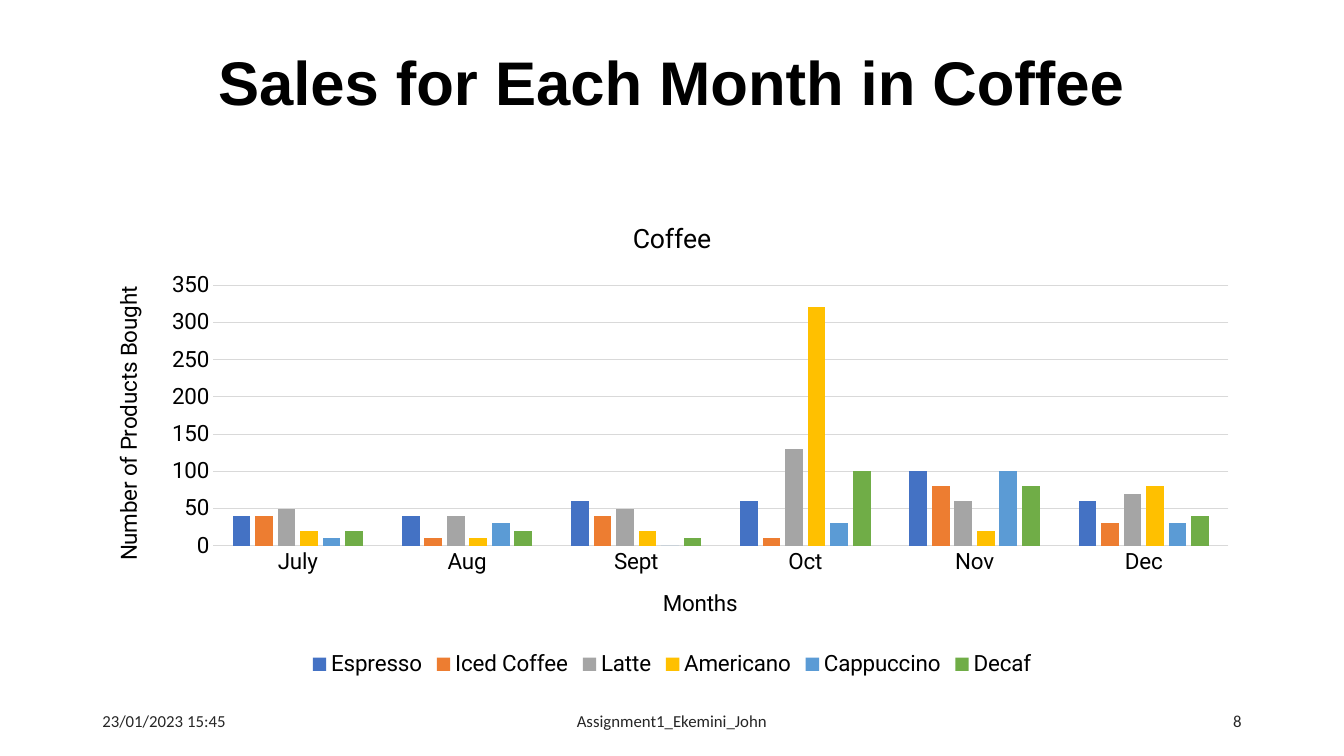
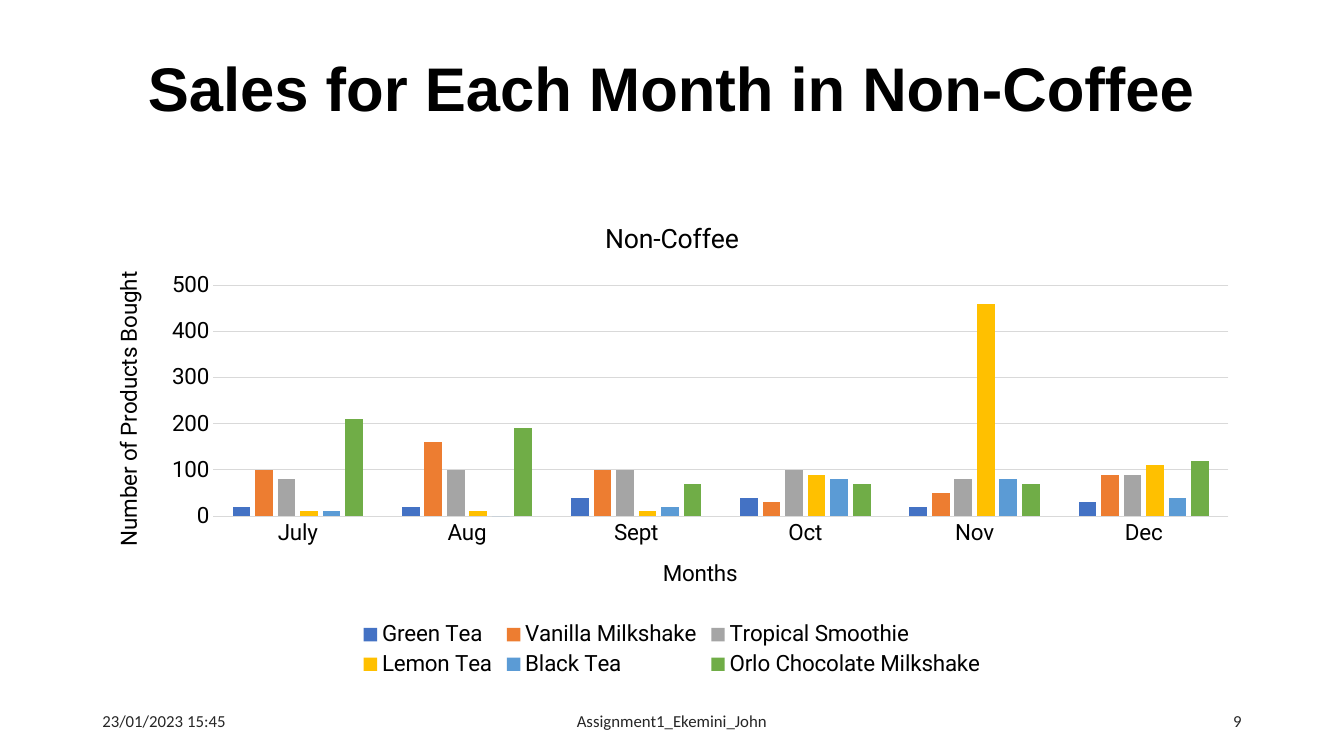
from pptx import Presentation
from pptx.chart.data import CategoryChartData
from pptx.dml.color import RGBColor
from pptx.enum.chart import XL_CHART_TYPE as ChartType, XL_LEGEND_POSITION as LegendPosition
from pptx.enum.chart import XL_TICK_MARK as TickMark
from pptx.enum.text import MSO_ANCHOR as Anchor, PP_ALIGN as Align
from pptx.util import Pt

PX = 9525  # EMU in one px, 96 px to the inch
COLORS = {"text": "000000", "footer": "262626", "grid": "D9D9D9"}
SERIES_COLORS = ["4472C4", "ED7D31", "A5A5A5", "FFC000", "5B9BD5", "70AD47"]
LEFT, WIDTH = 88, 1104
FOOTER_TOP, FOOTER_HEIGHT = 667, 38
MONTHS = ["July", "Aug", "Sept", "Oct", "Nov", "Dec"]

SLIDES = [
    {
        "title": "Sales for Each Month in Coffee",
        "title_height": 88,
        "number": "8",
        "chart": "Coffee",
        "axis": (350, 50),
        "series": {
            "Espresso": [40, 40, 60, 60, 100, 60],
            "Iced Coffee": [40, 10, 40, 10, 80, 30],
            "Latte": [50, 40, 50, 130, 60, 70],
            "Americano": [20, 10, 20, 320, 20, 80],
            "Cappuccino": [10, 30, 0, 30, 100, 30],
            "Decaf": [20, 20, 10, 100, 80, 40],
        },
    },
    {
        "title": "Sales for Each Month in Non-Coffee",
        "title_height": 98,
        "number": "9",
        "chart": "Non-Coffee",
        "axis": (500, 100),
        "series": {
            "Green Tea": [20, 20, 40, 40, 20, 30],
            "Vanilla Milkshake": [100, 160, 100, 30, 50, 90],
            "Tropical Smoothie": [80, 100, 100, 100, 80, 90],
            "Lemon Tea": [10, 10, 10, 90, 460, 110],
            "Black Tea": [10, 0, 20, 80, 80, 40],
            "Orlo Chocolate Milkshake": [210, 190, 70, 70, 70, 120],
        },
    },
]


def style_font(font, name, size, color, bold=False):
    font.name = name
    font.size = Pt(size)
    font.bold = bold
    font.color.rgb = RGBColor.from_string(COLORS[color])


def add_text(page, text, area, align, name, size, color, bold=False):
    """Add one line of text, centred vertically in area (left, top, width, height)."""
    box = page.shapes.add_textbox(*(length * PX for length in area))
    frame = box.text_frame
    frame.word_wrap = True
    frame.vertical_anchor = Anchor.MIDDLE
    para = frame.paragraphs[0]
    para.alignment = align
    span = para.add_run()
    span.text = text
    style_font(span.font, name, size, color, bold)
    return para


deck = Presentation()
deck.slide_width, deck.slide_height = 1280 * PX, 720 * PX

for content in SLIDES:
    page = deck.slides.add_slide(deck.slide_layouts[6])

    title = add_text(page, content["title"], (LEFT, 38, WIDTH, content["title_height"]),
                     Align.CENTER, "Arial", 44, "text", bold=True)
    title.line_spacing = 0.9

    for text, left, width, align in [
        ("23/01/2023 15:45", LEFT, 288, Align.LEFT),
        ("Assignment1_Ekemini_John", 424, 432, Align.CENTER),
        (content["number"], 904, 288, Align.RIGHT),
    ]:
        add_text(page, text, (left, FOOTER_TOP, width, FOOTER_HEIGHT),
                 align, "Calibri", 12, "footer")

    data = CategoryChartData()
    data.categories = MONTHS
    for name, values in content["series"].items():
        data.add_series(name, values)
    chart = page.shapes.add_chart(ChartType.COLUMN_CLUSTERED, LEFT * PX, 192 * PX,
                                  WIDTH * PX, 457 * PX, data).chart
    style_font(chart.font, "Roboto", 16, "text")

    plot = chart.plots[0]
    plot.gap_width = 219
    plot.overlap = -27
    plot.vary_by_categories = False
    for series, color in zip(plot.series, SERIES_COLORS):
        series.format.fill.solid()
        series.format.fill.fore_color.rgb = RGBColor.from_string(color)

    months, amounts = chart.category_axis, chart.value_axis
    amounts.minimum_scale = 0
    amounts.maximum_scale, amounts.major_unit = content["axis"]
    amounts.format.line.fill.background()
    for line in (months.format.line, amounts.major_gridlines.format.line):
        line.color.rgb = RGBColor.from_string(COLORS["grid"])
        line.width = Pt(0.75)
    for axis in (months, amounts):
        axis.major_tick_mark = axis.minor_tick_mark = TickMark.NONE
        style_font(axis.tick_labels.font, "Roboto", 16, "text")

    for owner, text, size in [
        (chart, content["chart"], 19),
        (months, "Months", 16),
        (amounts, "Number of Products Bought", 16),
    ]:
        owner.has_title = True
        heading = owner.chart_title if owner is chart else owner.axis_title
        span = heading.text_frame.paragraphs[0].add_run()
        span.text = text
        style_font(span.font, "Roboto", size, "text")
    chart.chart_title.include_in_layout = False

    chart.has_legend = True
    chart.legend.position = LegendPosition.BOTTOM
    chart.legend.include_in_layout = False
    style_font(chart.legend.font, "Roboto", 16, "text")

deck.save("out.pptx")
